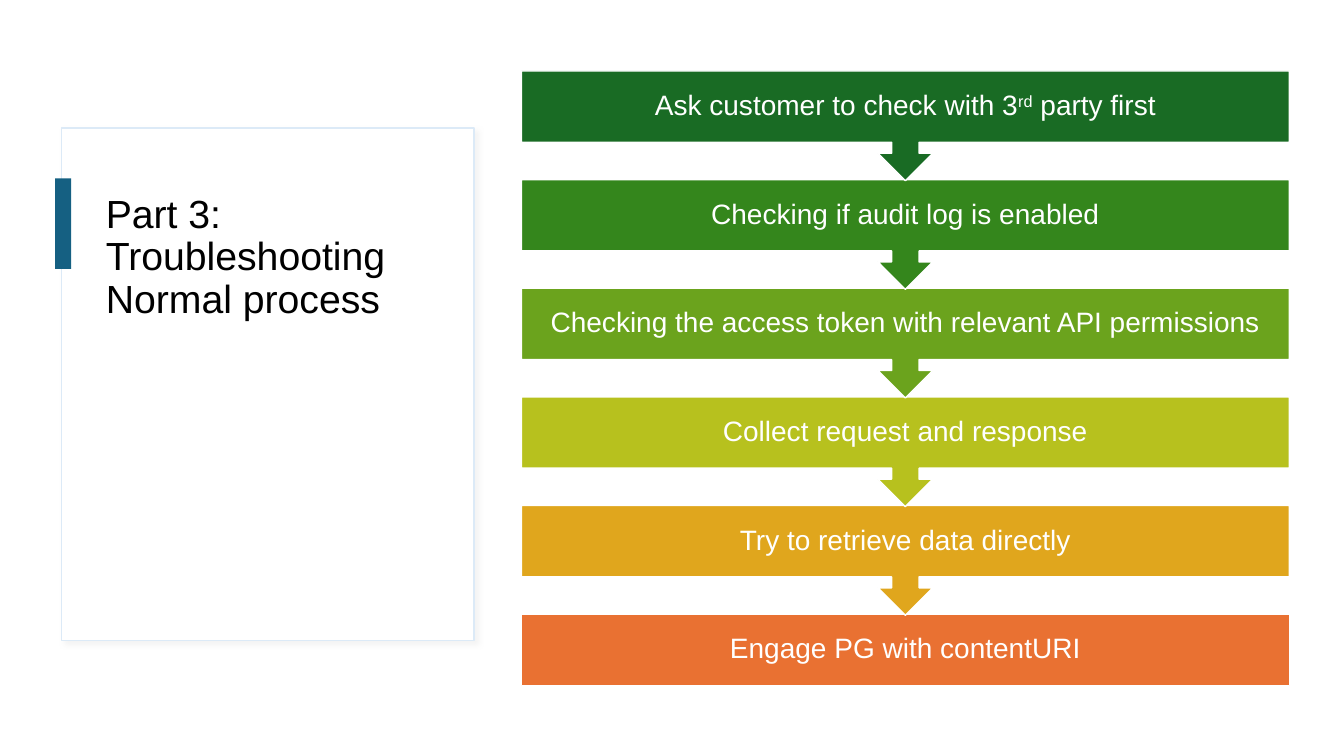
import pptx
import pptx.dml.color
import pptx.enum.shapes
import pptx.enum.text
import pptx.oxml
import pptx.util
from dataclasses import dataclass

Pt = pptx.util.Pt
RGB = pptx.dml.color.RGBColor.from_string
Kind = pptx.enum.shapes.MSO_SHAPE
Align = pptx.enum.text.PP_ALIGN
Anchor = pptx.enum.text.MSO_ANCHOR

SHADE = (
    '<a:effectLst xmlns:a="http://schemas.openxmlformats.org/drawingml/2006/main">'
    '<a:outerShdw blurRad="{blur}" dist="{dist}" dir="2700000" algn="tl" rotWithShape="0">'
    '<a:srgbClr val="{color}"><a:alpha val="30000"/></a:srgbClr>'
    "</a:outerShdw></a:effectLst>"
)


@dataclass(frozen=True)
class Theme:
    font: str = "Arial"
    head: int = 28
    body: int = 20
    ink: str = "000000"
    paper: str = "FFFFFF"
    edge: str = "DCEAF7"
    shade: str = "D9D9D9"
    mark: str = "156082"
    steps: tuple = ("196B24", "34861C", "6BA31D", "B7C11E", "E0A61D", "E97132")


def apply(item, form):
    for name, value in form.items():
        setattr(item, name, value)


class Deck:
    def __init__(self, theme):
        self.theme = theme
        self.file = pptx.Presentation()
        apply(self.file, {"slide_width": Pt(960), "slide_height": Pt(540)})
        self.slide = self.file.slides.add_slide(self.file.slide_layouts[5])

    def shape(self, kind, box, fill, line=None):
        item = self.slide.shapes.add_shape(kind, *map(Pt, box))
        item.shadow.inherit = False
        item.fill.solid()
        item.fill.fore_color.rgb = RGB(fill)
        if line:
            item.line.color.rgb = RGB(line)
            item.line.width = Pt(1)
        else:
            item.line.fill.background()
        return item

    def card(self, box):
        """Add a framed panel with a soft shadow."""
        item = self.shape(Kind.RECTANGLE, box, self.theme.paper, self.theme.edge)
        item.shadow.inherit = True
        item.element.spPr.append(pptx.oxml.parse_xml(
            SHADE.format(blur=Pt(4), dist=Pt(3), color=self.theme.shade)))

    def text(self, para, words, size, color, **form):
        """Fill a paragraph; words between carets are raised."""
        apply(para, {"line_spacing": 0.9, **form})
        for i, part in enumerate(words.split("^")):
            for j, piece in enumerate(part.split("\n")):
                if j:
                    para.add_line_break()
                run = para.add_run()
                run.text = piece
                apply(run.font, {"name": self.theme.font, "size": Pt(size), "bold": False})
                run.font.color.rgb = RGB(color)
                if i % 2:
                    run.font._element.set("baseline", "30000")

    def title(self, words, box):
        item = self.slide.shapes.title
        apply(item, dict(zip(("left", "top", "width", "height"), map(Pt, box))))
        apply(item.text_frame, {
            "word_wrap": True, "vertical_anchor": Anchor.TOP,
            "auto_size": pptx.enum.text.MSO_AUTO_SIZE.NONE})
        self.text(item.text_frame.paragraphs[0], words, self.theme.head, self.theme.ink,
                  alignment=Align.LEFT, space_after=Pt(6))
        # Bring the title in front of the card.
        self.slide.shapes._spTree.append(item.element)

    def step(self, kind, box, words, fill):
        item = self.shape(kind, box, fill, self.theme.paper)
        frame = item.text_frame
        sides = ("left", "top", "right", "bottom")
        apply(frame, {f"margin_{side}": Pt(11.5) for side in sides})
        apply(frame, {"word_wrap": True, "vertical_anchor": Anchor.MIDDLE})
        self.text(frame.paragraphs[0], words, self.theme.body, self.theme.paper,
                  alignment=Align.CENTER)


STEPS = (
    "Ask customer to check with 3^rd^ party first",
    "Checking if audit log is enabled",
    "Checking the access token with relevant API permissions",
    "Collect request and response",
    "Try to retrieve data directly",
    "Engage PG with contentURI",
)
LEFT, TOP, WIDE, PITCH = 372.4, 50.7, 548.6, 77.6
TALL, LAST = 78.4, 51


def main():
    theme = Theme()
    deck = Deck(theme)
    deck.card((44, 91.5, 294.5, 366))
    deck.title("Part 3: Troubleshooting\nNormal process", (68.4, 135.4, 244, 277))
    deck.shape(Kind.RECTANGLE, (39.4, 127.4, 11.5, 64.8), theme.mark)
    rows = list(enumerate(zip(STEPS, theme.steps)))
    for row, (words, fill) in reversed(rows):
        end = row == len(STEPS) - 1
        kind = Kind.RECTANGLE if end else Kind.DOWN_ARROW_CALLOUT
        box = (LEFT, TOP + row * PITCH, WIDE, LAST if end else TALL)
        deck.step(kind, box, words, fill)
    deck.file.save("out.pptx")


if __name__ == "__main__":
    main()
